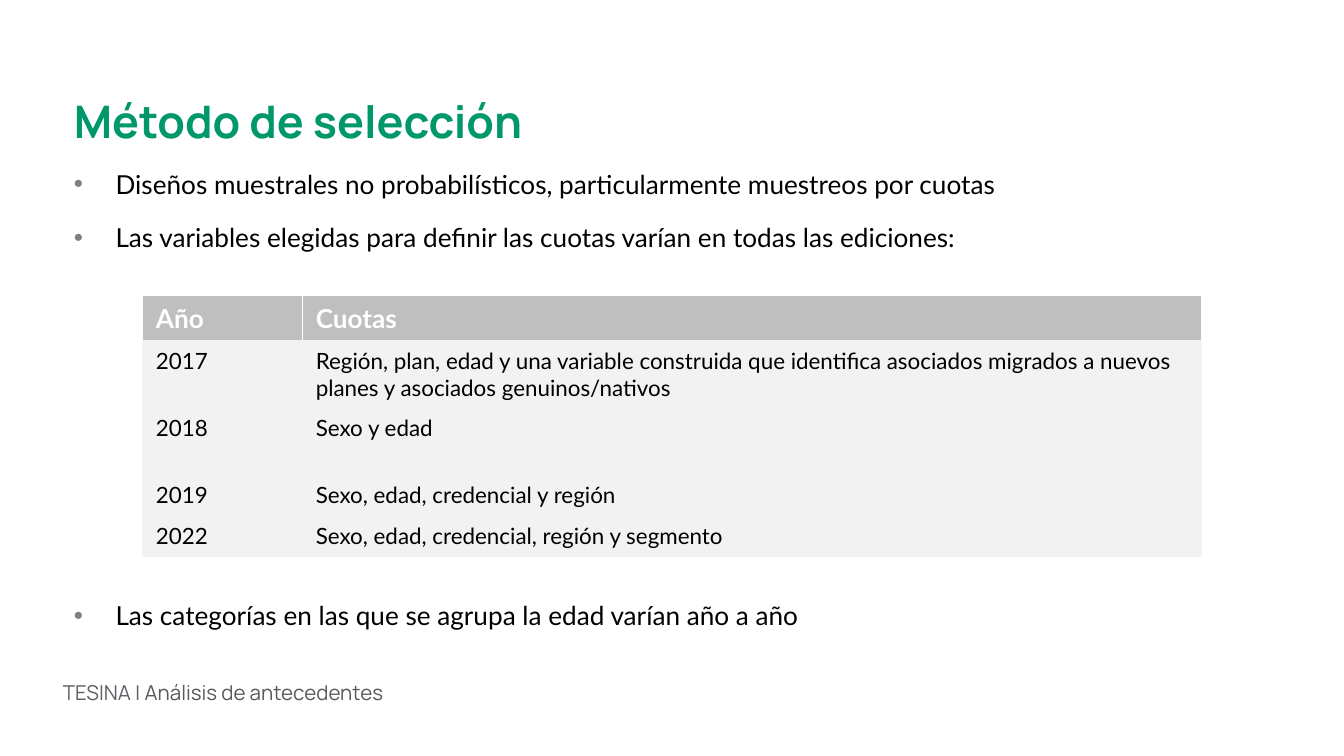
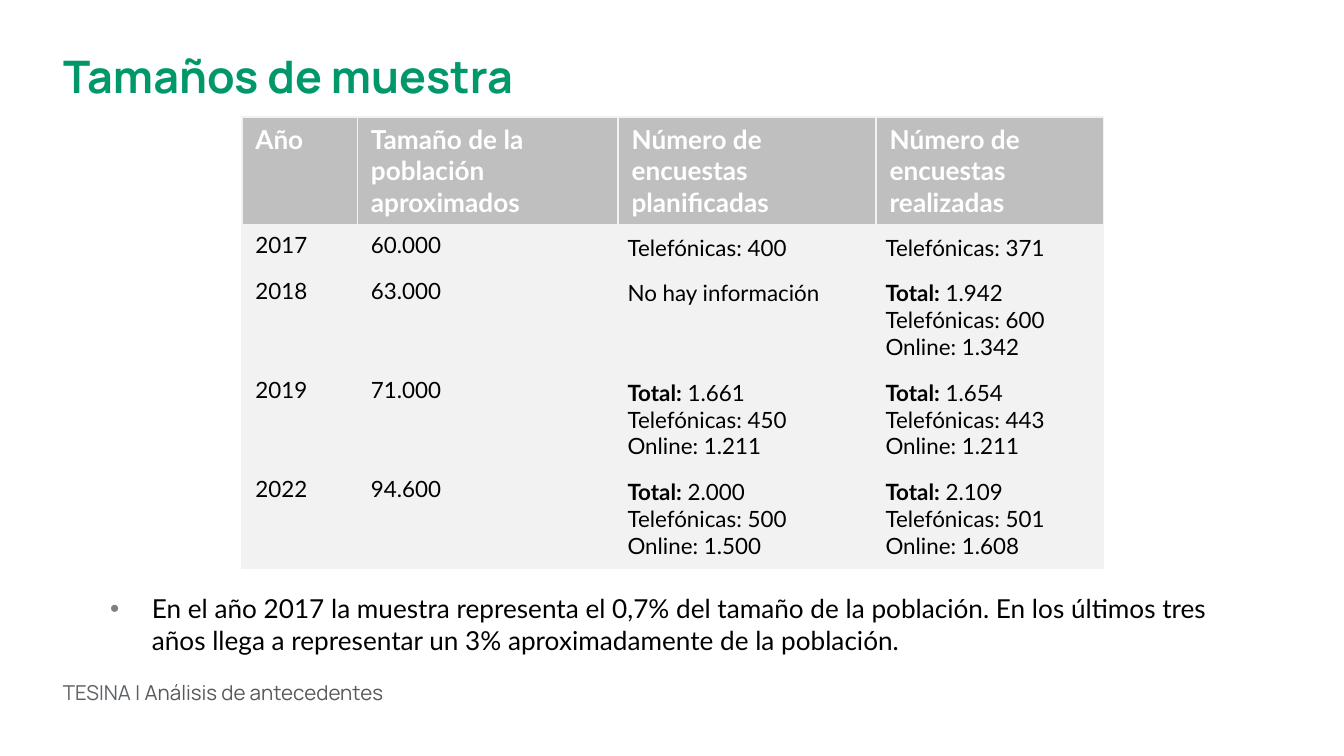
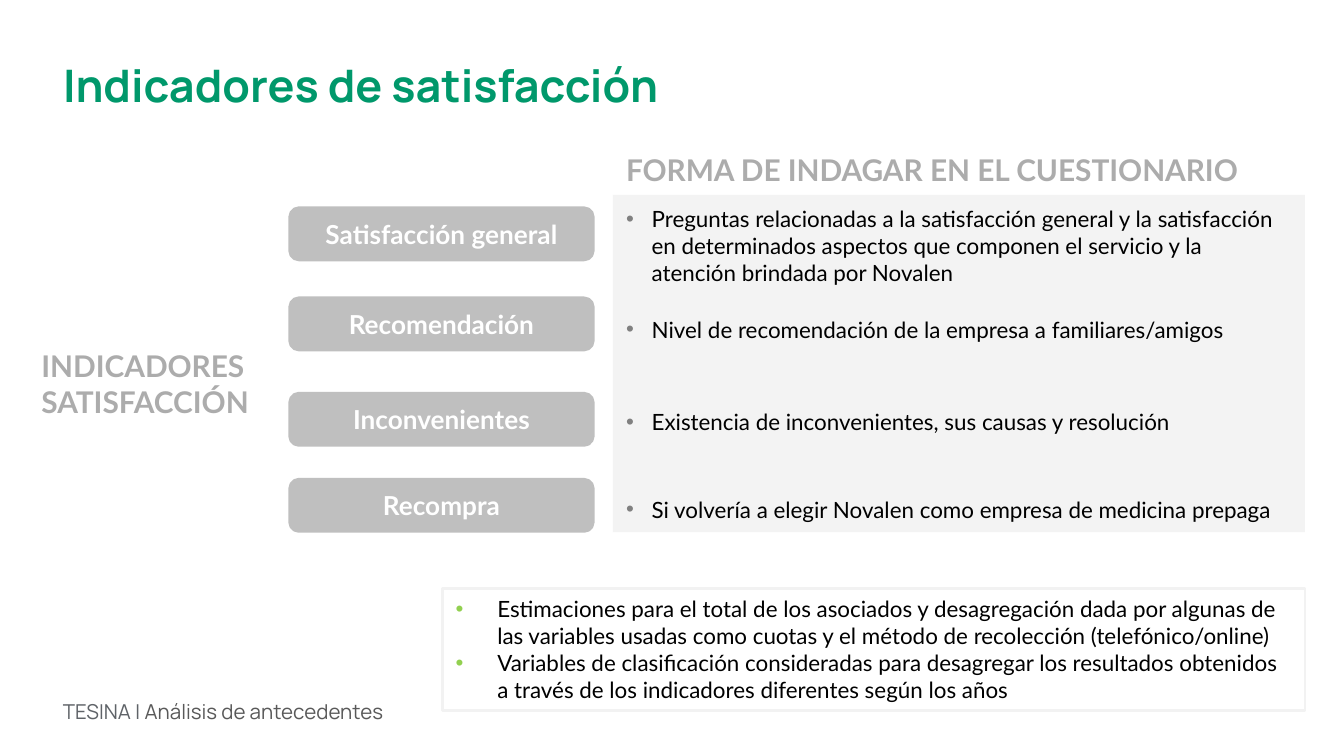
import pptx
import pptx.dml.color
import pptx.enum.shapes
import pptx.enum.text
import pptx.oxml
import pptx.oxml.ns
import pptx.util
from lxml import etree

Inches = pptx.util.Inches
Pt = pptx.util.Pt
RGBColor = pptx.dml.color.RGBColor
PP_ALIGN = pptx.enum.text.PP_ALIGN
MSO_ANCHOR = pptx.enum.text.MSO_ANCHOR
MSO_SHAPE = pptx.enum.shapes.MSO_SHAPE
qn = pptx.oxml.ns.qn

GREEN = RGBColor(0x00, 0x98, 0x6B)
LIME = RGBColor(0x92, 0xD0, 0x50)
BLACK = RGBColor(0x00, 0x00, 0x00)
WHITE = RGBColor(0xFF, 0xFF, 0xFF)
FOOTER_GREY = RGBColor(0x5F, 0x63, 0x68)
SECTION_GREY = RGBColor(0x59, 0x59, 0x59)
BULLET_GREY = RGBColor(0x80, 0x80, 0x80)
HEADING_GREY = RGBColor(0xAC, 0xAC, 0xAC)
HEADER_GREY = RGBColor(0xBF, 0xBF, 0xBF)
CELL_GREY = RGBColor(0xF2, 0xF2, 0xF2)
PANEL_GREY = RGBColor(0xF3, 0xF3, 0xF3)

TITLE = {"name": "Manrope", "size": Pt(24), "bold": True}
FOOTER = {"name": "Manrope", "size": Pt(11), "bold": False}
HEADING = {"name": "Lato", "size": Pt(16), "bold": True}
LABEL = {"name": "Lato", "size": Pt(14), "bold": True}
BODY = {"name": "Lato", "size": Pt(14), "bold": False}
DETAIL = {"name": "Lato", "size": Pt(12), "bold": False}
DETAIL_BOLD = {**DETAIL, "bold": True}

TOTAL = "Total:"


def set_values(target, values):
    for name, value in values.items():
        setattr(target, name, value)


def place(box, at):
    sides = ("left", "top", "width", "height")
    set_values(box, {side: Inches(length) for side, length in zip(sides, at)})


def add_run(paragraph, text, style, color):
    run = paragraph.add_run()
    run.text = text
    set_values(run.font, style)
    run.font.color.rgb = color


def add_bullet(paragraph, indent, color):
    properties = paragraph._p.get_or_add_pPr()
    properties.set("marL", str(Inches(indent)))
    properties.set("indent", str(-Inches(indent)))
    bullet_color = etree.SubElement(properties, qn("a:buClr"))
    etree.SubElement(bullet_color, qn("a:srgbClr"), val=str(color))
    etree.SubElement(properties, qn("a:buFont"), typeface="Arial")
    etree.SubElement(properties, qn("a:buChar"), char="•")


def add_borders(cell, side_color):
    """Draw 1 pt cell borders; the bottom one always has the cell grey."""
    properties = cell._tc.get_or_add_tcPr()
    colors = {"L": side_color, "R": side_color, "T": side_color, "B": CELL_GREY}
    for position, (side, color) in enumerate(colors.items()):
        border = etree.Element(qn(f"a:ln{side}"), w=str(Pt(1)))
        fill = etree.SubElement(border, qn("a:solidFill"))
        etree.SubElement(fill, qn("a:srgbClr"), val=str(color))
        properties.insert(position, border)


class Deck:
    def __init__(self):
        self.presentation = pptx.Presentation()
        self.presentation.slide_width = Inches(10)
        self.presentation.slide_height = Inches(10) * 9 // 16
        self.slide = None
        self.free_bodies = []

    def new_slide(self, title, title_at, footer_top=5.01, lists=1):
        layout = self.presentation.slide_layouts[3 if lists == 2 else 1]
        self.slide = self.presentation.slides.add_slide(layout)
        heading, *self.free_bodies = self.slide.placeholders
        frame = self.prepare(heading, title_at, inset=0.1)
        frame.paragraphs[0].alignment = PP_ALIGN.LEFT
        add_run(frame.paragraphs[0], title, TITLE, GREEN)
        self.footer(footer_top)

    def prepare(self, box, at, inset=0.05):
        place(box, at)
        frame = box.text_frame
        set_values(frame, {
            "word_wrap": True,
            "auto_size": pptx.enum.text.MSO_AUTO_SIZE.NONE,
            "vertical_anchor": MSO_ANCHOR.TOP,
            "margin_left": Inches(0.1), "margin_right": Inches(0.1),
            "margin_top": Inches(inset), "margin_bottom": Inches(inset),
        })
        return frame

    def text_box(self):
        return self.slide.shapes.add_textbox(0, 0, 0, 0)

    def footer(self, top):
        frame = self.prepare(self.text_box(), (0.37, top, 5.38, 0.29))
        add_run(frame.paragraphs[0], "TESINA | ", FOOTER, FOOTER_GREY)
        add_run(frame.paragraphs[0], "Análisis de antecedentes", FOOTER, SECTION_GREY)

    def heading(self, lines, at):
        frame = self.prepare(self.text_box(), at)
        for number, line in enumerate(lines):
            paragraph = frame.add_paragraph() if number else frame.paragraphs[0]
            add_run(paragraph, line, HEADING, HEADING_GREY)

    def bullets(self, items, at, style=BODY, indent=0.31, color=BULLET_GREY,
                spacing=0, in_body=True):
        box = self.free_bodies.pop(0) if in_body else self.text_box()
        frame = self.prepare(box, at)
        for number, item in enumerate(items):
            paragraph = frame.add_paragraph() if number else frame.paragraphs[0]
            add_bullet(paragraph, indent, color)
            paragraph.space_before = Pt(spacing if number else 0)
            paragraph.space_after = Pt(spacing)
            add_run(paragraph, item, style, BLACK)
        return box

    def shape(self, kind, at, fill, line_width=0):
        shape = self.slide.shapes.add_shape(kind, 0, 0, 0, 0)
        place(shape, at)
        shape.shadow.inherit = False
        shape.fill.solid()
        shape.fill.fore_color.rgb = fill
        if line_width:
            shape.line.color.rgb = fill
            shape.line.width = Pt(line_width)
        else:
            shape.line.fill.background()
        return shape

    def label(self, text, at):
        pill = self.shape(MSO_SHAPE.ROUNDED_RECTANGLE, at, HEADER_GREY, 2)
        frame = self.prepare(pill, at)
        frame.vertical_anchor = MSO_ANCHOR.MIDDLE
        frame.paragraphs[0].alignment = PP_ALIGN.CENTER
        add_run(frame.paragraphs[0], text, LABEL, WHITE)

    def table(self, rows, left, top, widths, heights, header_border=CELL_GREY,
              inset_columns=()):
        """Fill a table whose first row is the header."""
        table = self.slide.shapes.add_table(
            len(rows), len(widths), Inches(left), Inches(top),
            Inches(sum(widths)), Inches(sum(heights))).table
        table.horz_banding = False
        for column, width in zip(table.columns, widths):
            column.width = Inches(width)
        for row, height in zip(table.rows, heights):
            row.height = Inches(height)
        for row_number, row in enumerate(rows):
            for column_number, text in enumerate(row):
                cell = table.cell(row_number, column_number)
                is_header = row_number == 0
                cell.fill.solid()
                cell.fill.fore_color.rgb = HEADER_GREY if is_header else CELL_GREY
                add_borders(cell, header_border if is_header else CELL_GREY)
                if column_number in inset_columns and not is_header:
                    for side in ("left", "right", "top", "bottom"):
                        setattr(cell, f"margin_{side}", Inches(0.07))
                self.cell_text(cell.text_frame, text, is_header)

    def cell_text(self, frame, text, is_header):
        for number, line in enumerate(text.split("\n")):
            paragraph = frame.add_paragraph() if number else frame.paragraphs[0]
            if is_header:
                add_run(paragraph, line, LABEL, WHITE)
                continue
            if line.startswith(TOTAL):
                add_run(paragraph, TOTAL, DETAIL_BOLD, BLACK)
                line = line.removeprefix(TOTAL)
            add_run(paragraph, line, DETAIL, BLACK)


def surveys(total, phone, online):
    return f"{TOTAL} {total}\nTelefónicas: {phone}\nOnline: {online}"


def selection_method(deck):
    deck.new_slide("Método de selección", (0.45, 0.6, 5.38, 0.61), lists=2)
    deck.bullets([
        "Diseños muestrales no probabilísticos, particularmente muestreos por cuotas",
        "Las variables elegidas para definir las cuotas varían en todas las ediciones:",
    ], (0.45, 1.2, 8.55, 0.74), spacing=6)
    quotas = [
        ("Año", "Cuotas"),
        ("2017", "Región, plan, edad y una variable construida que identifica asociados "
                 "migrados a nuevos planes y asociados genuinos/nativos"),
        ("2018", "Sexo y edad"),
        ("2019", "Sexo, edad, credencial y región"),
        ("2022", "Sexo, edad, credencial, región y segmento"),
    ]
    deck.table(quotas, 1.06, 2.2, (1.19, 6.69), (0.33, 0.5, 0.5, 0.3, 0.3),
               header_border=WHITE)
    deck.bullets(["Las categorías en las que se agrupa la edad varían año a año"],
                 (0.45, 4.41, 5.76, 0.34))


def sample_sizes(deck):
    deck.new_slide("Tamaños de muestra", (0.37, 0.26, 5.38, 0.61))
    deck.bullets([
        "En el año 2017 la muestra representa el 0,7% del tamaño de la población. "
        "En los últimos tres años llega a representar un 3% aproximadamente de la población.",
    ], (0.72, 4.36, 8.55, 0.57))
    samples = [
        ("Año", "Tamaño de la población aproximados",
         "Número de encuestas planificadas", "Número de encuestas realizadas"),
        ("2017", "60.000", "Telefónicas: 400", "Telefónicas: 371"),
        ("2018", "63.000", "No hay información", surveys("1.942", "600", "1.342")),
        ("2019", "71.000", surveys("1.661", "450", "1.211"),
         surveys("1.654", "443", "1.211")),
        ("2022", "94.600", surveys("2.000", "500", "1.500"),
         surveys("2.109", "501", "1.608")),
    ]
    deck.table(samples, 1.8, 0.87, (0.86, 1.94, 1.92, 1.69),
               (0.8, 0.34, 0.74, 0.74, 0.74), inset_columns=(2, 3))


def satisfaction_indicators(deck):
    deck.new_slide("Indicadores de satisfacción", (0.37, 0.33, 4.88, 0.61),
                   footer_top=5.15)
    deck.shape(MSO_SHAPE.RECTANGLE, (4.56, 1.45, 5.15, 2.51), PANEL_GREY)
    deck.heading(["INDICADORES", "SATISFACCIÓN"], (0.21, 2.54, 1.81, 0.64))
    deck.heading(["FORMA DE INDAGAR EN EL CUESTIONARIO"], (4.56, 1.08, 5.04, 0.37))
    indicators = [
        ("Satisfacción general", 1.55, 1.48,
         "Preguntas relacionadas a la satisfacción general y la satisfacción en "
         "determinados aspectos que componen el servicio y la atención brindada por Novalen"),
        ("Recomendación", 2.22, 2.3,
         "Nivel de recomendación de la empresa a familiares/amigos"),
        ("Inconvenientes", 2.93, 2.99,
         "Existencia de inconvenientes, sus causas y resolución"),
        ("Recompra", 3.57, 3.64,
         "Si volvería a elegir Novalen como empresa de medicina prepaga"),
    ]
    for indicator, label_top, question_top, question in indicators:
        deck.label(indicator, (2.16, label_top, 2.25, 0.38))
        height = 0.71 if question_top < 2 else 0.3
        deck.bullets([question], (4.56, question_top, 5.15, height),
                     style=DETAIL, indent=0.19, in_body=False)
    estimates = deck.bullets([
        "Estimaciones para el total de los asociados y desagregación dada por algunas de "
        "las variables usadas como cuotas y el método de recolección (telefónico/online)",
        "Variables de clasificación consideradas para desagregar los resultados obtenidos "
        "a través de los indicadores diferentes según los años",
    ], (3.29, 4.38, 6.42, 0.91), style=DETAIL, color=LIME)
    estimates.line.color.rgb = CELL_GREY
    estimates.line.width = Pt(1.5)


def main():
    deck = Deck()
    selection_method(deck)
    sample_sizes(deck)
    satisfaction_indicators(deck)
    deck.presentation.save("out.pptx")


if __name__ == "__main__":
    main()
